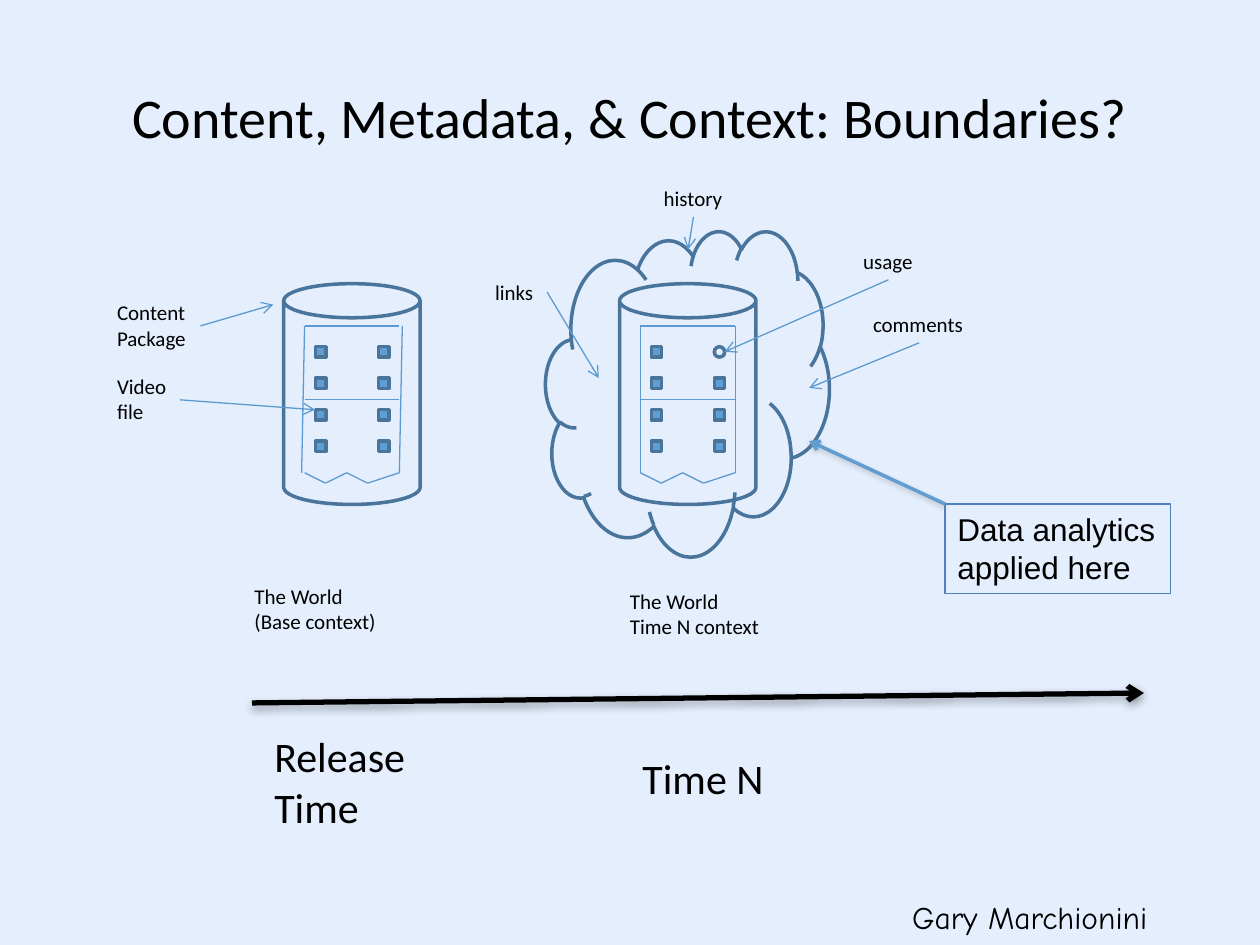
from dataclasses import dataclass
from itertools import pairwise

from pptx import Presentation
from pptx.dml.color import RGBColor
from pptx.enum.shapes import MSO_CONNECTOR, MSO_SHAPE
from pptx.enum.text import MSO_ANCHOR, MSO_AUTO_SIZE, PP_ALIGN
from pptx.oxml import parse_xml
from pptx.oxml.ns import nsdecls
from pptx.util import Cm, Pt


@dataclass(frozen=True)
class Theme:
    background: str = "E4EEFD"
    text: str = "000000"
    outline: str = "49749B"
    marker: str = "629DD1"
    thin: str = "5D9ACF"
    callout: str = "4F81BD"
    body_font: str = "Calibri"
    callout_font: str = "Arial"
    author_font: str = "Comic Neue"
    title_size: int = 32
    time_size: int = 24
    callout_size: int = 18
    label_size: int = 12
    thin_width: float = 0.75
    outline_width: float = 2
    axis_width: float = 3


THEME = Theme()
TOP, LEFT, BOTTOM, RIGHT = range(4)


def color(code):
    return RGBColor.from_string(code)


def style_line(line, code, width):
    line.color.rgb = color(code)
    line.width = Pt(width)


def add_text(slide, box, lines, size=THEME.label_size, font=THEME.body_font):
    """Add unwrapped black text, one paragraph for each line."""
    shape = slide.shapes.add_textbox(*map(Cm, box))
    frame = shape.text_frame
    frame.word_wrap = False
    frame.auto_size = MSO_AUTO_SIZE.SHAPE_TO_FIT_TEXT
    for index, line in enumerate(lines):
        paragraph = frame.add_paragraph() if index else frame.paragraphs[0]
        run = paragraph.add_run()
        run.text = line
        run.font.size = Pt(size)
        run.font.name = font
        run.font.color.rgb = color(THEME.text)
    return shape


def add_outline(shapes, kind, box, fill=None):
    shape = shapes.add_shape(kind, *map(Cm, box))
    shape.shadow.inherit = False
    if fill:
        shape.fill.solid()
        shape.fill.fore_color.rgb = color(fill)
    else:
        shape.fill.background()
    style_line(shape.line, THEME.outline, THEME.outline_width)
    return shape


def add_line(shapes, start, end, code=THEME.thin, width=THEME.thin_width,
             arrow=False, shadow=None):
    """Add a straight line; shadow is (color, opacity %, blur pt, distance pt)."""
    line = shapes.add_connector(MSO_CONNECTOR.STRAIGHT, *map(Cm, (*start, *end)))
    style_line(line.line, code, width)
    if arrow:
        line.line._get_or_add_ln().append(
            parse_xml(f'<a:tailEnd {nsdecls("a")} type="arrow"/>'))
    effect = ""
    if shadow:
        tint, opacity, blur, distance = shadow
        effect = (f'<a:outerShdw blurRad="{Pt(blur)}" dist="{Pt(distance)}" '
                  f'dir="5400000" rotWithShape="0"><a:srgbClr val="{tint}">'
                  f'<a:alpha val="{opacity * 1000}"/></a:srgbClr></a:outerShdw>')
    line._element.spPr.append(
        parse_xml(f'<a:effectLst {nsdecls("a")}>{effect}</a:effectLst>'))
    return line


def add_label_arrow(slide, box, lines, side, start, end):
    """Add a label and an arrow that leaves from one of its sides."""
    label = add_text(slide, box, lines)
    arrow = add_line(slide.shapes, start, end, arrow=True)
    arrow.begin_connect(label, side)


def add_package(slide, left, skew=0.0, circle_at=None):
    """Add a cylinder that holds a torn page and a grid of video files."""
    shapes = slide.shapes.add_group_shape().shapes
    top, middle, bottom, notch = 6.57, 8.05, 9.53, 9.74
    page_left, page_right = left + 0.42, left + 2.33

    # Page: rules, sides and torn lower edge
    for y in (middle, top):
        add_line(shapes, (page_left, y), (page_right, y))
    add_line(shapes, (page_left, top), (page_left - skew, bottom))
    add_line(shapes, (page_right + skew, top), (page_right, bottom))
    torn_edge = [(page_left, bottom), (left + 0.84, notch), (left + 1.27, bottom),
                 (left + 1.69, notch), (page_right, bottom)]
    for start, end in pairwise(torn_edge):
        add_line(shapes, start, end)
    add_outline(shapes, MSO_SHAPE.CAN, (left, 5.72, 2.75, 4.45))

    # Video files
    for column in range(2):
        for row in range(4):
            box = (left + 0.64 + 1.27 * column, 6.99 + 0.635 * row, 0.21, 0.21)
            if (column, row) == circle_at:
                add_outline(shapes, MSO_SHAPE.OVAL, box)
            else:
                add_outline(shapes, MSO_SHAPE.RECTANGLE, box, THEME.marker)


def add_title(slide, text):
    title = add_text(slide, (1.27, 0.76, 22.86, 3.18), [text], THEME.title_size)
    frame = title.text_frame
    frame.word_wrap = True
    frame.auto_size = MSO_AUTO_SIZE.NONE
    frame.vertical_anchor = MSO_ANCHOR.MIDDLE
    frame.paragraphs[0].alignment = PP_ALIGN.CENTER


def main():
    presentation = Presentation()
    presentation.slide_width, presentation.slide_height = Cm(25.4), Cm(19.05)
    slide = presentation.slides.add_slide(presentation.slide_layouts[6])
    slide.background.fill.solid()
    slide.background.fill.fore_color.rgb = color(THEME.background)

    add_text(slide, (18.14, 17.98, 7.26, 1.02), ["Gary Marchionini"],
             THEME.callout_size, THEME.author_font)
    add_title(slide, "Content, Metadata, & Context: Boundaries?")

    # Content packages at release and at time N, with the context cloud
    add_package(slide, 5.72, skew=0.06)
    add_package(slide, 12.49, circle_at=(1, 0))
    add_outline(slide.shapes, MSO_SHAPE.CLOUD, (11, 4.65, 5.72, 6.56))

    # Labels with arrows
    for label in (
        ((2.11, 7.41, 1.52, 1.3), ["Video", "file"], RIGHT, (3.63, 8.05), (6.35, 8.26)),
        ((2.11, 5.92, 1.93, 1.3), ["Content", "Package"], RIGHT, (4.04, 6.57), (5.51, 6.14)),
        ((13.13, 3.61, 1.7, 0.76), ["history"], BOTTOM, (13.97, 4.37), (13.87, 5.03)),
        ((17.35, 6.15, 2.36, 0.76), ["comments"], BOTTOM, (18.54, 6.91), (16.31, 7.82)),
        ((9.73, 5.51, 1.3, 0.76), ["links"], RIGHT, (11.02, 5.89), (12.07, 7.62)),
        ((17.15, 4.88, 1.52, 0.76), ["usage"], BOTTOM, (17.91, 5.64), (14.61, 7.09)),
    ):
        add_label_arrow(slide, *label)

    # Context captions
    add_text(slide, (4.88, 11.63, 3.23, 1.27), ["The World", "(Base context)"])
    add_text(slide, (12.45, 11.73, 3.35, 1.27), ["The World", "Time N context"])

    # Time axis
    add_line(slide.shapes, (5.08, 14.17), (23.06, 13.97), THEME.text,
             THEME.axis_width, arrow=True, shadow=("000000", 35, 5, 1.8))
    add_text(slide, (5.28, 14.61, 3.63, 2.29), ["Release", "Time"], THEME.time_size)
    add_text(slide, (12.7, 15.04, 3.25, 1.27), ["Time N"], THEME.time_size)

    # Analytics callout
    callout = add_text(slide, (19.05, 10.16, 4.55, 1.8),
                       ["Data analytics", "applied here"],
                       THEME.callout_size, THEME.callout_font)
    style_line(callout.line, THEME.callout, THEME.thin_width)
    add_line(slide.shapes, (19.05, 10.16), (16.31, 8.89), THEME.marker,
             THEME.outline_width, arrow=True, shadow=("808080", 38, 3.1, 1.6))

    presentation.save("out.pptx")


if __name__ == "__main__":
    main()
